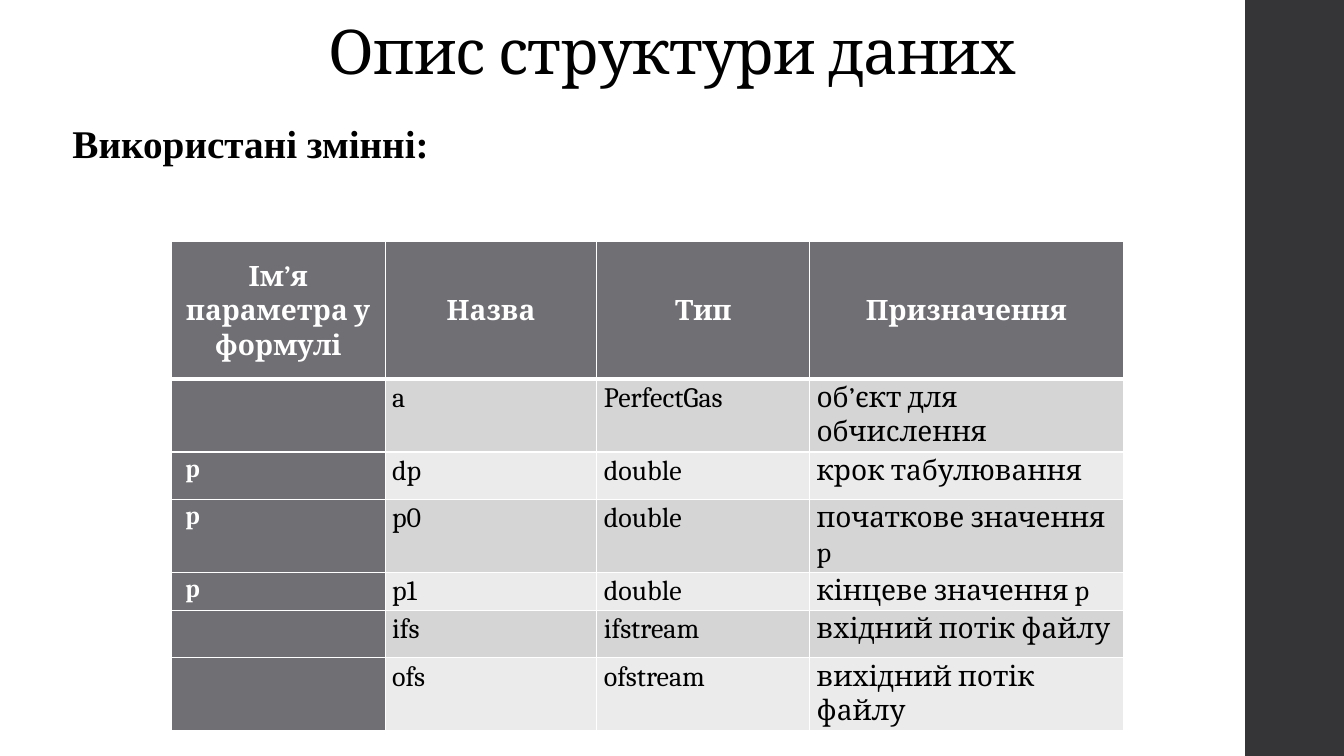
import dataclasses
import typing

import lxml.etree
import pptx
import pptx.dml.color
import pptx.enum.shapes
import pptx.enum.text
import pptx.oxml.ns
import pptx.util

Inches = pptx.util.Inches
Align = pptx.enum.text.PP_ALIGN
Anchor = pptx.enum.text.MSO_ANCHOR


@dataclasses.dataclass(frozen=True)
class Theme:
    serif: str = "Cambria"
    roman: str = "Times New Roman"
    black: str = "000000"
    white: str = "FFFFFF"
    band: str = "353537"
    head: str = "6F6F74"
    odd: str = "D5D5D6"
    even: str = "EBEBEB"
    title: float = 44
    lead: float = 28
    body: float = 20
    small: float = 18
    thin: float = 1
    thick: float = 3


@dataclasses.dataclass(frozen=True)
class Entry:
    param: str
    name: str
    kind: str
    role: str
    height: float = 0.47


THEME = Theme()
WIDTHS = (2.12, 2.1, 2.11, 3.11)
ENTRIES = (
    Entry("Ім’я параметра у формулі", "Назва", "Тип", "Призначення", 1.37),
    Entry("", "a", "PerfectGas", "об’єкт для обчислення"),
    Entry("p", "dp", "double", "крок табулювання"),
    Entry("p", "p0", "double", "початкове значення p"),
    Entry("p", "p1", "double", "кінцеве значення p", 0.38),
    Entry("", "ifs", "ifstream", "вхідний потік файлу"),
    Entry("", "ofs", "ofstream", "вихідний потік файлу"),
)


def color(value: str) -> pptx.dml.color.RGBColor:
    return pptx.dml.color.RGBColor.from_string(value)


def write(frame: typing.Any, text: str, *, size: float = THEME.body,
          font: str = THEME.serif, ink: str = THEME.black, bold: bool = False,
          align: Align = Align.LEFT, lines: float = 1.07,
          after: float = 8, track: int = 0) -> None:
    """Fill a text frame with one paragraph; track is in 1/100 pt."""
    para = frame.paragraphs[0]
    para.alignment = align
    para.line_spacing = lines
    para.space_after = pptx.util.Pt(after)
    run = para.add_run()
    run.text = text
    run.font.name = font
    run.font.size = pptx.util.Pt(size)
    run.font.bold = bold
    run.font.color.rgb = color(ink)
    if track:
        run._r.get_or_add_rPr().set("spc", str(track))


def add_box(slide: typing.Any, left: float, top: float, width: float,
            height: float, anchor: Anchor, inset: float) -> typing.Any:
    box = slide.shapes.add_textbox(
        Inches(left), Inches(top), Inches(width), Inches(height))
    frame = box.text_frame
    frame.word_wrap = True
    frame.vertical_anchor = anchor
    frame.margin_top = frame.margin_bottom = Inches(inset)
    return frame


def add_edge(cell: typing.Any, side: str, width: float) -> None:
    qn = pptx.oxml.ns.qn
    line = lxml.etree.SubElement(
        cell._tc.get_or_add_tcPr(), qn(f"a:ln{side}"),
        w=str(pptx.util.Pt(width)))
    fill = lxml.etree.SubElement(line, qn("a:solidFill"))
    lxml.etree.SubElement(fill, qn("a:srgbClr"), val=THEME.white)


def fill_cell(cell: typing.Any, text: str, row: int, col: int) -> None:
    head, first = row == 0, col == 0
    edges = {"L": THEME.thin, "R": THEME.thin,
             "T": THEME.thick if row == 1 else THEME.thin,
             "B": THEME.thick if head else THEME.thin}
    for side, width in edges.items():
        add_edge(cell, side, width)
    cell.fill.solid()
    shade = THEME.odd if row % 2 else THEME.even
    cell.fill.fore_color.rgb = color(THEME.head if head or first else shade)
    cell.margin_left = Inches(0.14 if first and not head else 0.07)
    cell.margin_right = Inches(0.07)
    cell.margin_top = Inches(0.01)
    cell.margin_bottom = 0
    cell.vertical_anchor = Anchor.MIDDLE if head else Anchor.TOP
    if text:
        write(cell.text_frame, text, bold=head or first,
              size=THEME.small if first and not head else THEME.body,
              ink=THEME.white if head or first else THEME.black,
              align=Align.CENTER if head else Align.LEFT)


def add_grid(slide: typing.Any) -> None:
    table = slide.shapes.add_table(
        len(ENTRIES), len(WIDTHS), Inches(1.7), Inches(2.39),
        Inches(sum(WIDTHS)), Inches(sum(e.height for e in ENTRIES))).table
    table.first_row = table.horz_banding = False
    for column, width in zip(table.columns, WIDTHS):
        column.width = Inches(width)
    for row, entry in enumerate(ENTRIES):
        table.rows[row].height = Inches(entry.height)
        texts = (entry.param, entry.name, entry.kind, entry.role)
        for col, text in enumerate(texts):
            fill_cell(table.cell(row, col), text, row, col)


def main() -> None:
    deck = pptx.Presentation()
    deck.slide_width, deck.slide_height = Inches(13.33), Inches(7.5)
    slide = deck.slides.add_slide(deck.slide_layouts[6])

    band = slide.shapes.add_shape(
        pptx.enum.shapes.MSO_SHAPE.RECTANGLE,
        Inches(12.35), 0, Inches(0.98), Inches(7.5))
    band.shadow.inherit = False
    band.fill.solid()
    band.fill.fore_color.rgb = color(THEME.band)
    band.line.fill.background()

    title = add_box(slide, 1.37, 0.12, 10.6, 0.75, Anchor.BOTTOM, 0)
    write(title, "Опис структури даних", size=THEME.title,
          align=Align.CENTER, lines=0.9, after=0, track=-50)
    lead = add_box(slide, 0.62, 1.1, 6.68, 0.58, Anchor.TOP, 0.05)
    write(lead, "Використані змінні:", size=THEME.lead,
          font=THEME.roman, bold=True)
    add_grid(slide)
    deck.save("out.pptx")


if __name__ == "__main__":
    main()
